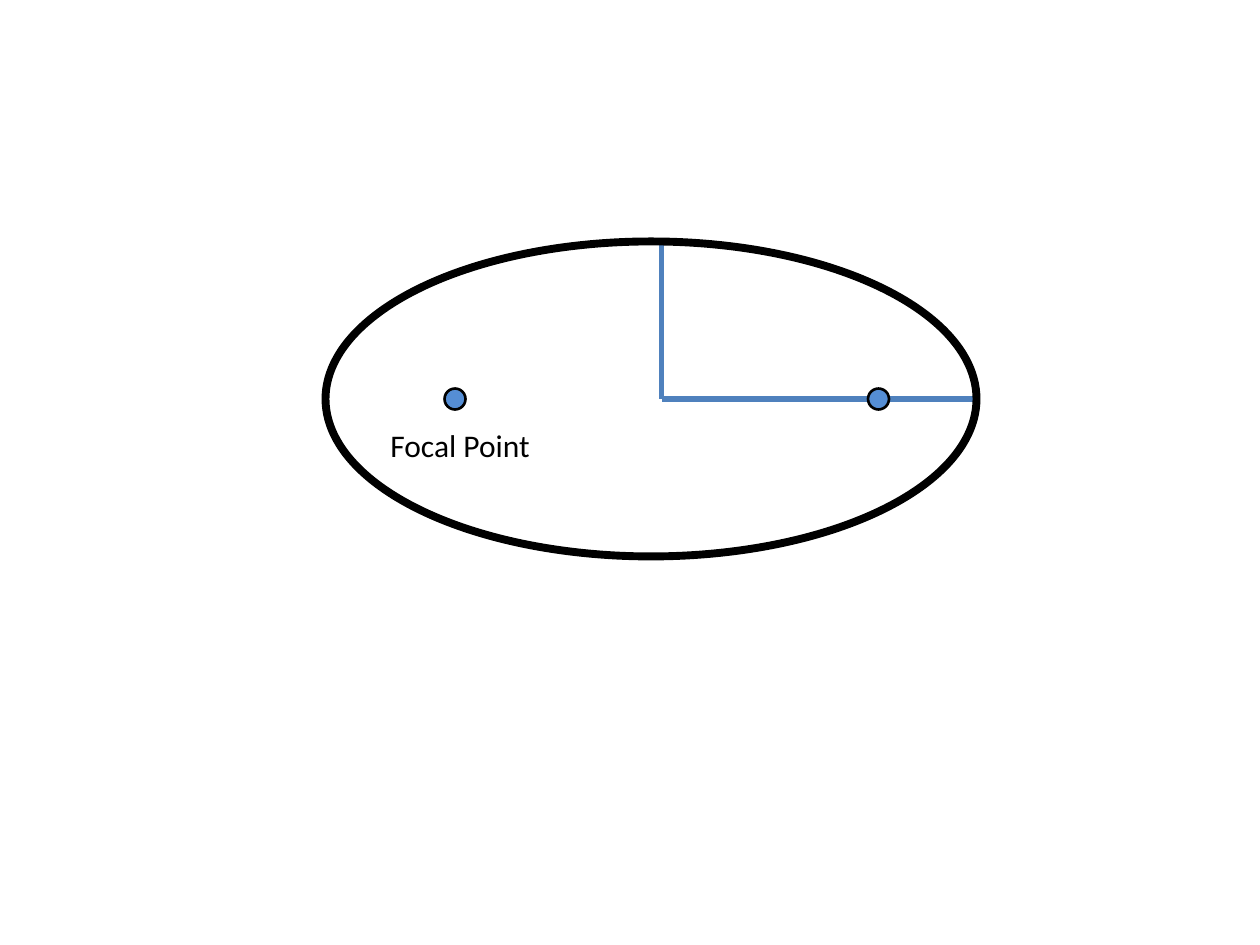
from lxml.etree import SubElement
from pptx import Presentation
from pptx.dml.color import RGBColor
from pptx.enum.shapes import MSO_CONNECTOR, MSO_SHAPE
from pptx.enum.text import MSO_AUTO_SIZE
from pptx.oxml.ns import qn
from pptx.util import Pt

COLORS = {"axis": "4F81BD", "focus": "558ED5", "outline": "000000", "text": "000000"}
FONT = "Calibri"


def color(name):
    return RGBColor.from_string(COLORS[name])


def add_axis(slide, start, end):
    connector = slide.shapes.add_connector(
        MSO_CONNECTOR.STRAIGHT, *(Pt(value) for value in (*start, *end)))
    connector.line.color.rgb = color("axis")
    connector.line.width = Pt(3)
    SubElement(connector._element.spPr, qn("a:effectLst"))


def add_ellipse(slide, left, top, width, height, line_width, fill=None):
    shape = slide.shapes.add_shape(
        MSO_SHAPE.OVAL, Pt(left), Pt(top), Pt(width), Pt(height))
    shape.shadow.inherit = False
    if fill:
        shape.fill.solid()
        shape.fill.fore_color.rgb = color(fill)
    else:
        shape.fill.background()
    shape.line.color.rgb = color("outline")
    shape.line.width = Pt(line_width)


def add_label(slide, text, left, top, width, height):
    box = slide.shapes.add_textbox(Pt(left), Pt(top), Pt(width), Pt(height))
    frame = box.text_frame
    frame.word_wrap = False
    frame.auto_size = MSO_AUTO_SIZE.SHAPE_TO_FIT_TEXT
    frame.text = text
    font = frame.paragraphs[0].runs[0].font
    font.name = FONT
    font.size = Pt(18)
    font.color.rgb = color("text")


def add_orbit(slide, left, top, width, height):
    """Ellipse with its two half axes, focal points and label."""
    middle = top + height / 2
    axis_origin = (left + 192, middle)
    for axis_end in ((axis_origin[0], top), (left + width, middle)):
        add_axis(slide, axis_origin, axis_end)

    add_ellipse(slide, left, top, width, height, 4.5)

    focus_size = 12
    for focus_offset in (74, 316):
        add_ellipse(slide, left + focus_offset - focus_size / 2,
                    middle - focus_size / 2, focus_size, focus_size, 1.5, "focus")

    add_label(slide, "Focal Point", left + 30, middle + 12, 96.5, 29)


def main():
    presentation = Presentation()
    presentation.slide_width = Pt(720)
    presentation.slide_height = Pt(540)
    slide = presentation.slides.add_slide(presentation.slide_layouts[6])
    add_orbit(slide, 186, 138, 372, 180)
    presentation.save("out.pptx")


if __name__ == "__main__":
    main()
